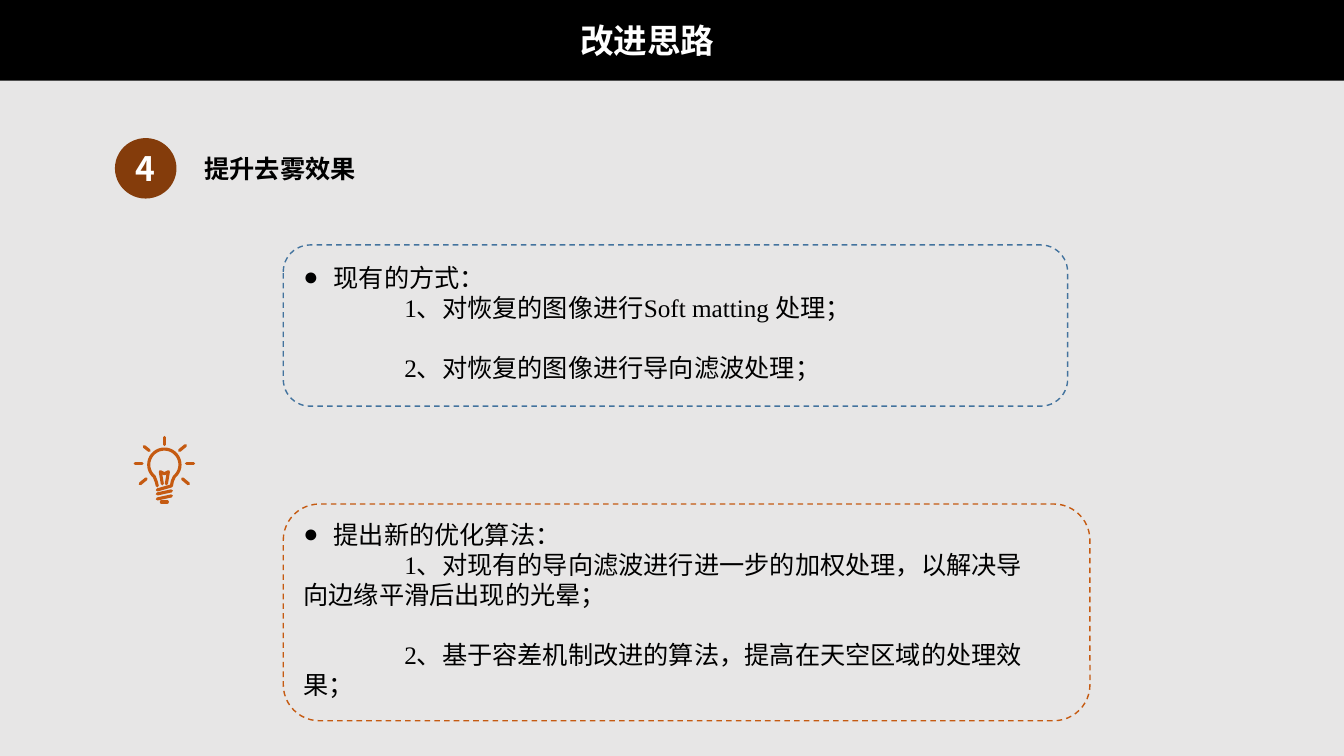
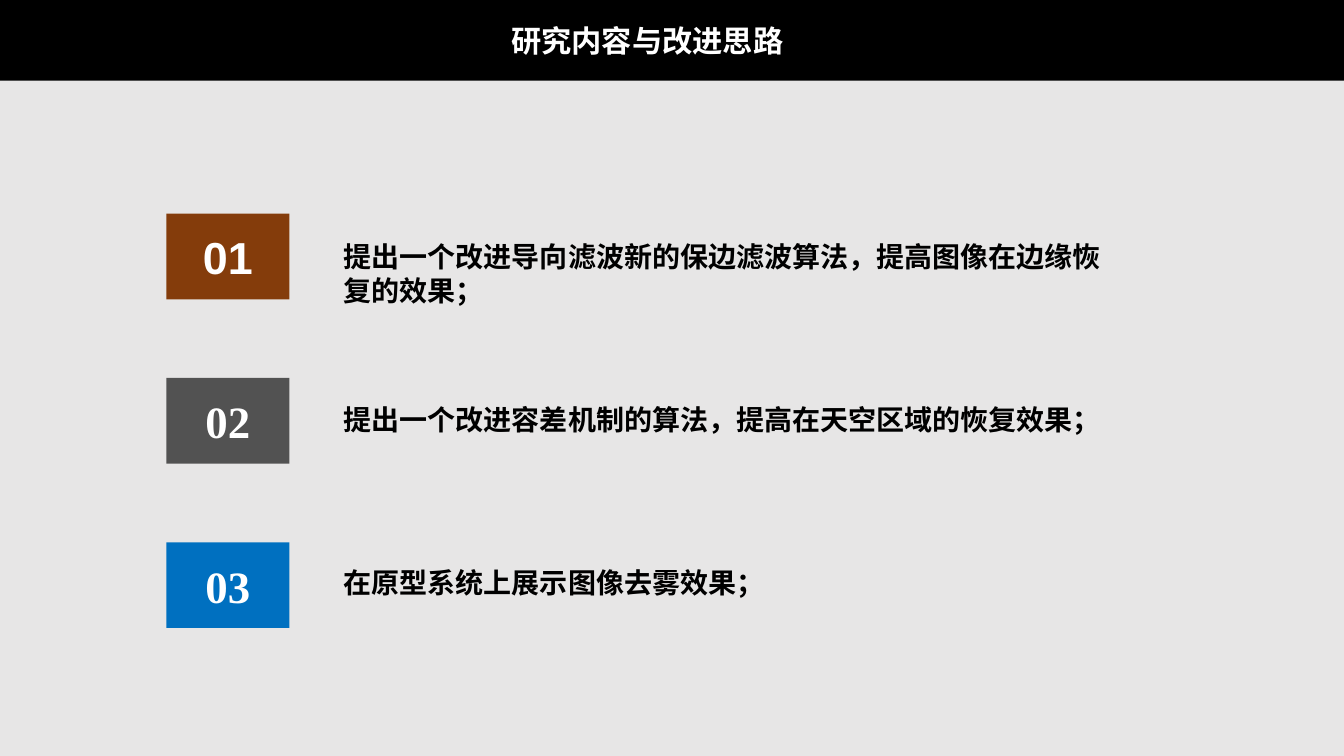
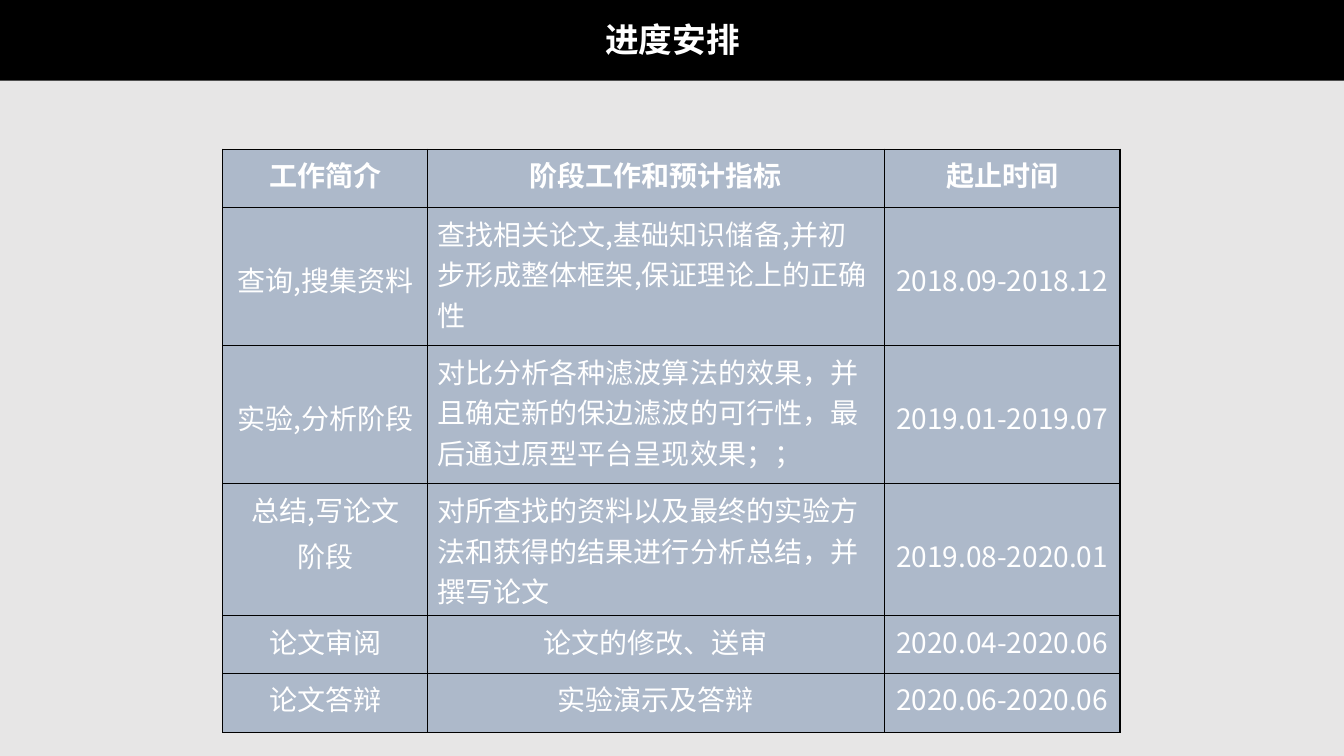
from dataclasses import dataclass
from itertools import accumulate
import math

from lxml import etree
from pptx import Presentation
from pptx.dml.color import RGBColor
from pptx.enum import dml, shapes, text
from pptx.oxml.ns import qn
from pptx.util import Emu, Inches, Pt

# Shared look
COLORS = {
    "page": "E7E6E6", "band": "000000", "ink": "000000", "white": "FFFFFF",
    "brown": "843C0B", "orange": "C55A11", "steel": "43739E",
    "grey": "525252", "blue": "0070C0", "cell": "ADB9CA",
}
SERIF, SANS, ARIAL = "Times New Roman", "Noto Sans CJK SC", "Arial"
W, H = Inches(13.33), Inches(7.5)
CENTER, LEFT = text.PP_ALIGN.CENTER, text.PP_ALIGN.LEFT
TOP, MIDDLE = text.MSO_ANCHOR.TOP, text.MSO_ANCHOR.MIDDLE
KIND = shapes.MSO_SHAPE


def across(share: float) -> Emu:
    return Emu(round(W * share / 100))


def down(share: float) -> Emu:
    return Emu(round(H * share / 100))


@dataclass(frozen=True)
class Box:
    """Place and size in percent of the slide's width and height."""
    x: float
    y: float
    w: float
    h: float

    def emu(self) -> tuple[Emu, Emu, Emu, Emu]:
        return across(self.x), down(self.y), across(self.w), down(self.h)


@dataclass(frozen=True)
class Panel:
    frame: Box
    body: Box
    color: str
    heading: str
    items: tuple[str, ...]


@dataclass(frozen=True)
class Topic:
    number: str
    color: str
    font: str
    statement: str


@dataclass(frozen=True)
class Stage:
    name: str
    work: str
    dates: str
    height: float
    work_align: text.PP_ALIGN = CENTER
    name_lowered: bool = False
    dates_lowered: bool = False
    bold: bool = False


# Content
TITLE_BOX = Box(36.61, 2.4, 23.1, 6.4)
PANELS = (
    Panel(Box(21.08, 32.4, 58.36, 21.33), Box(21.83, 34, 49.36, 17.47), "steel",
          "现有的方式：",
          ("1、对恢复的图像进行Soft matting 处理；", "2、对恢复的图像进行导向滤波处理；")),
    Panel(Box(21.08, 66.67, 60.02, 28.67), Box(21.83, 68, 56.71, 25.6), "orange",
          "提出新的优化算法：",
          ("1、对现有的导向滤波进行进一步的加权处理，以解决导向边缘平滑后出现的光晕；",
           "2、基于容差机制改进的算法，提高在天空区域的处理效果；")),
)
TOPICS = (
    Topic("01", "brown", ARIAL, "提出一个改进导向滤波新的保边滤波算法，提高图像在边缘恢复的效果；"),
    Topic("02", "grey", SERIF, "提出一个改进容差机制的算法，提高在天空区域的恢复效果；"),
    Topic("03", "blue", SERIF, "在原型系统上展示图像去雾效果；"),
)
STAGES = (
    Stage("工作简介", "阶段工作和预计指标", "起止时间", 7.73, bold=True),
    Stage("查询,搜集资料", "查找相关论文,基础知识储备,并初步形成整体框架,保证理论上的正确性",
          "2018.09-2018.12", 18.27, LEFT, True, True),
    Stage("实验,分析阶段",
          "对比分析各种滤波算法的效果，并且确定新的保边滤波的可行性，最后通过原型平台呈现效果；；",
          "2019.01-2019.07", 18.27, LEFT, True, True),
    Stage("总结,写论文\n阶段",
          "对所查找的资料以及最终的实验方法和获得的结果进行分析总结，并撰写论文",
          "2019.08-2020.01", 17.47, LEFT, False, True),
    Stage("论文审阅", "论文的修改、送审", "2020.04-2020.06", 7.6),
    Stage("论文答辩", "实验演示及答辩", "2020.06-2020.06", 7.87),
)
STAGE_COLS = (15.23, 33.98, 17.55)

# Light bulb strokes, in columns and rows of a fine grid
BULB_X, BULB_Y, BULB_CELL = Inches(1.33), Inches(4.33), Inches(0.01)
GLASS = tuple((30 + 15.5 * math.cos(math.radians(a)), 28 + 15.5 * math.sin(math.radians(a)))
              for a in range(130, 411, 10))
BULB_STROKES = (
    ((23, 49), (22, 45), *GLASS, (38, 44), (37, 49), (23, 53)),
    ((28, 47), (26, 35), (30, 37), (34, 35), (32, 47)),
    ((23, 57), (37, 54)), ((23, 62), (37, 59)), ((27, 65), (33, 65)),
    ((30, 1), (30, 8)), ((1, 27), (8, 27)), ((52, 27), (59, 27)),
    ((10, 10), (15, 14)), ((51, 9), (45, 14)), ((12, 42), (6, 47)), ((48, 42), (54, 47)),
)


# Drawing helpers
def rgb(name: str) -> RGBColor:
    return RGBColor.from_string(COLORS[name])


def add_xml(parent, tag: str, **attrs: str):
    return etree.SubElement(parent, qn(tag), attrs)


def write(tf, content: str, *, size: float, color: str = "ink", font: str = SERIF,
          bold: bool = False, align=LEFT, anchor=TOP, before: float = 0,
          spacing: float | None = None) -> None:
    """Fill a text frame, one paragraph a line; before parts later paragraphs."""
    tf.word_wrap = True
    tf.auto_size = text.MSO_AUTO_SIZE.NONE
    tf.vertical_anchor = anchor
    for i, line in enumerate(content.split("\n")):
        p = tf.paragraphs[0] if i == 0 else tf.add_paragraph()
        p.alignment, p.line_spacing = align, spacing
        p.space_before = Pt(before if i else 0)
        r = p.add_run()
        r.text = line
        r.font.size, r.font.bold, r.font.name = Pt(size), bold, font
        r.font.color.rgb = rgb(color)
        add_xml(r.font._element, "a:ea", typeface=SANS)


def add_block(s, kind, box: Box, fill: str | None = None, line: str | None = None):
    sp = s.shapes.add_shape(kind, *box.emu())
    sp.shadow.inherit = False
    if fill:
        sp.fill.solid()
        sp.fill.fore_color.rgb = rgb(fill)
    else:
        sp.fill.background()
    if line:
        sp.line.color.rgb = rgb(line)
        sp.line.width = Pt(1)
        sp.line.dash_style = dml.MSO_LINE.DASH
    else:
        sp.line.fill.background()
    return sp


def add_label(s, box: Box, content: str, **fmt) -> None:
    write(s.shapes.add_textbox(*box.emu()).text_frame, content, **fmt)


def place(sp, box: Box) -> None:
    sp.left, sp.top, sp.width, sp.height = box.emu()


def add_slide(prs, layout: int, title: str, size: float = 24, box: Box = TITLE_BOX):
    s = prs.slides.add_slide(prs.slide_layouts[layout])
    place(s.shapes.title, box)
    write(s.shapes.title.text_frame, title, size=size, color="white", bold=True,
          align=CENTER, anchor=MIDDLE, spacing=0.9)
    return s


def add_panel(s, ph, panel: Panel) -> None:
    add_block(s, KIND.ROUNDED_RECTANGLE, panel.frame, line=panel.color)
    place(ph, panel.body)
    write(ph.text_frame, "\n".join((panel.heading, *panel.items)), size=18)
    heading, *items = ph.text_frame.paragraphs
    pPr = heading._p.get_or_add_pPr()
    pPr.set("marL", str(Inches(0.3)))
    pPr.set("indent", str(-Inches(0.3)))
    add_xml(pPr, "a:buFont", typeface=SERIF)
    add_xml(pPr, "a:buChar", char="●")
    for i, p in enumerate(items):
        p.space_before = Pt(21 if i else 0)
        pPr = p._p.get_or_add_pPr()
        pPr.set("marL", "0")
        pPr.set("indent", str(Inches(1)))
        add_xml(pPr, "a:buNone")


def add_bulb(s) -> None:
    group = s.shapes.add_group_shape()
    for stroke in BULB_STROKES:
        pts = [(round(BULB_X + c * BULB_CELL), round(BULB_Y + r * BULB_CELL))
               for c, r in stroke]
        if len(pts) == 2:
            sp = group.shapes.add_connector(shapes.MSO_CONNECTOR.STRAIGHT, *pts[0], *pts[1])
        else:
            builder = group.shapes.build_freeform(*pts[0], scale=1.0)
            builder.add_line_segments(pts[1:], close=False)
            sp = builder.convert_to_shape()
            sp.fill.background()
        sp.line.color.rgb = rgb("orange")
        sp.line.width = Pt(2.25)
        sp.line._get_or_add_ln().set("cap", "rnd")
        add_xml(sp._element.spPr, "a:effectLst")


def format_cell(cell, content: str, lowered: bool, **fmt) -> None:
    cell.fill.solid()
    cell.fill.fore_color.rgb = rgb("cell")
    cell.margin_top = Inches(0.51 if lowered else 0.05)
    write(cell.text_frame, content, size=20, color="white", font=SANS, before=4.2, **fmt)
    tcPr = cell._tc.get_or_add_tcPr()
    for i, side in enumerate("LRTB"):
        ln = etree.Element(qn(f"a:ln{side}"), w=str(Pt(1)))
        add_xml(add_xml(ln, "a:solidFill"), "a:srgbClr", val=COLORS["ink"])
        tcPr.insert(i, ln)


# Slides
def setup_master(prs, s) -> None:
    """Put the background and the black band on the slide master."""
    master = prs.slide_master
    master.background.fill.solid()
    master.background.fill.fore_color.rgb = rgb("page")
    band = add_block(s, KIND.RECTANGLE, Box(0, 0, 100, 10.67), "band")
    master.shapes.element.insert(2, band._element)


def ideas_slide(prs):
    s = add_slide(prs, 3, "改进思路")
    badge = add_block(s, KIND.OVAL, Box(8.55, 18.27, 4.58, 8), "brown")
    write(badge.text_frame, "4", size=24, color="white", font=SANS, bold=True,
          align=CENTER, anchor=MIDDLE)
    add_label(s, Box(14.48, 19.6, 23.18, 5.33), "提升去雾效果", size=18, bold=True)
    add_bulb(s)
    bodies = [ph for ph in s.placeholders if ph.placeholder_format.idx in (1, 2)]
    for ph, panel in zip(bodies, PANELS):
        add_panel(s, ph, panel)
    return s


def topics_slide(prs) -> None:
    s = add_slide(prs, 5, "研究内容与改进思路", 21.6)
    for i, topic in enumerate(TOPICS):
        tile = add_block(s, KIND.RECTANGLE, Box(12.38, 28.27 + 21.73 * i, 9.15, 11.33),
                         topic.color)
        write(tile.text_frame, topic.number, size=32, color="white", font=topic.font,
              bold=True, align=CENTER, anchor=MIDDLE)
        lines = 10.27 if i == 0 else 5.87
        add_label(s, Box(24.83, 31.07 + 21.53 * i, 59.86, lines), topic.statement,
                  size=20, bold=True)


def schedule_slide(prs) -> None:
    s = add_slide(prs, 5, "进度安排", box=Box(42.84, 2, 14.4, 7.07))
    *_, height = accumulate(stage.height for stage in STAGES)
    box = Box(16.58, 19.73, sum(STAGE_COLS), height)
    table = s.shapes.add_table(len(STAGES), len(STAGE_COLS), *box.emu()).table
    for col, width in zip(table.columns, STAGE_COLS):
        col.width = across(width)
    for row, stage in zip(table.rows, STAGES):
        row.height = down(stage.height)
        name, work, dates = row.cells
        format_cell(name, stage.name, stage.name_lowered, align=CENTER, bold=stage.bold)
        format_cell(work, stage.work, False, align=stage.work_align, bold=stage.bold)
        format_cell(dates, stage.dates, stage.dates_lowered, align=CENTER, bold=stage.bold)


def main() -> None:
    prs = Presentation()
    prs.slide_width, prs.slide_height = W, H
    setup_master(prs, ideas_slide(prs))
    topics_slide(prs)
    schedule_slide(prs)
    prs.save("out.pptx")


if __name__ == "__main__":
    main()
